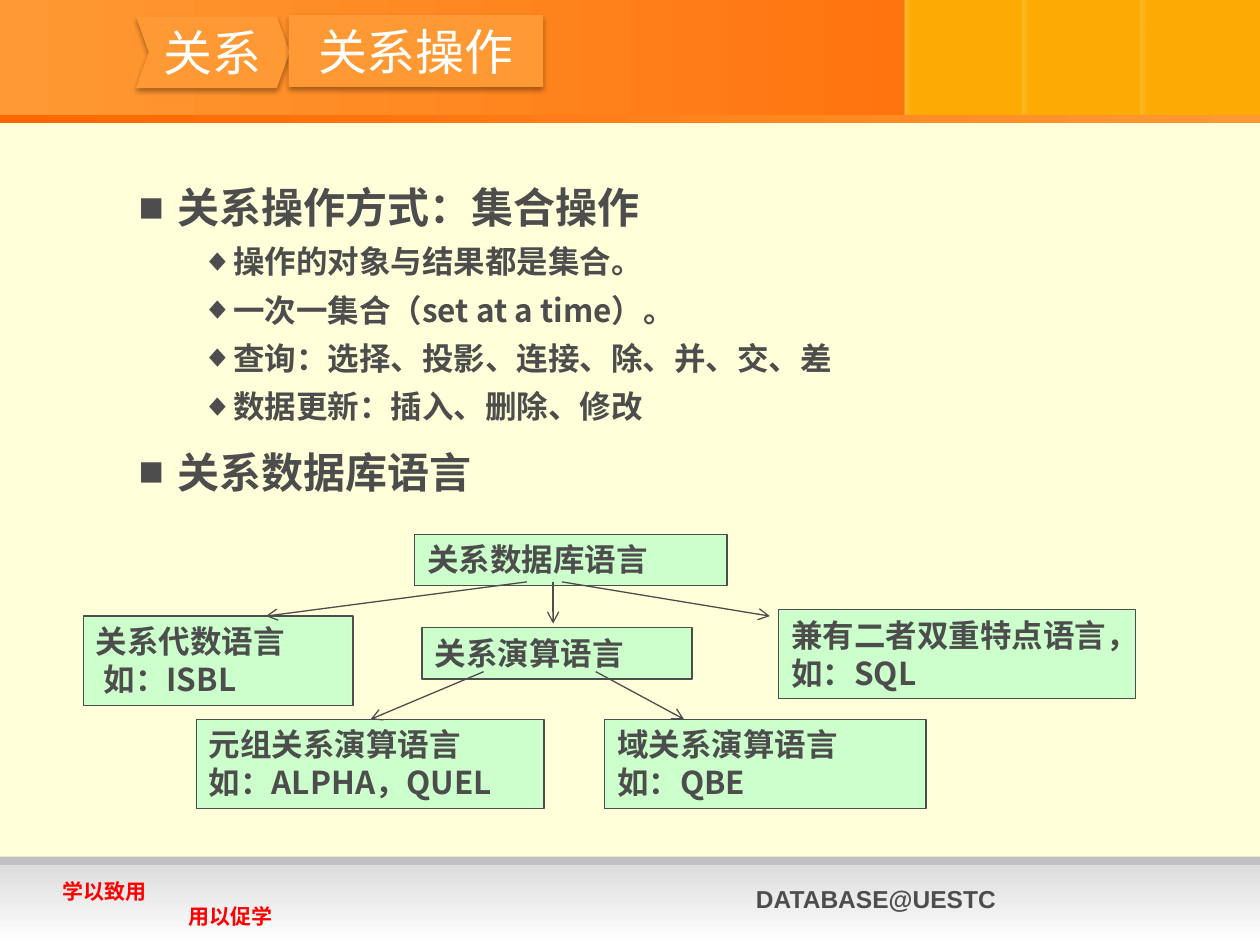
from lxml import etree
from pptx import Presentation
from pptx.dml.color import RGBColor
from pptx.enum.shapes import MSO_CONNECTOR, MSO_SHAPE
from pptx.enum.text import MSO_ANCHOR, MSO_AUTO_SIZE, PP_ALIGN
from pptx.oxml.ns import qn
from pptx.util import Cm, Pt

RECTANGLE = MSO_SHAPE.RECTANGLE
CHEVRON = MSO_SHAPE.CHEVRON
STRAIGHT = MSO_CONNECTOR.STRAIGHT
TOP, MIDDLE = MSO_ANCHOR.TOP, MSO_ANCHOR.MIDDLE
LEFT, CENTER = PP_ALIGN.LEFT, PP_ALIGN.CENTER
NO_AUTOFIT = MSO_AUTO_SIZE.NONE

CJK_FONT, LATIN_FONT = "Noto Sans CJK SC", "Arial"
CREAM, ORANGE, DEEP_ORANGE, AMBER = "FFFFD9", "FF9933", "FF6600", "FDAA03"
GRAY, GREEN, WHITE, RED = "4D4D4D", "CCFFCC", "FFFFFF", "FF0000"


def color(value):
    return RGBColor.from_string(value)


def add_xml(parent, tag, **attributes):
    return etree.SubElement(parent, qn(tag), {key: str(value) for key, value in attributes.items()})


class SlideBuilder:
    def __init__(self, presentation):
        self.slide = presentation.slides.add_slide(presentation.slide_layouts[1])
        self.shapes = self.slide.shapes
        background = self.slide.background.fill
        background.solid()
        background.fore_color.rgb = color(CREAM)

    def format_font(self, paragraph, size, text_color=GRAY, bold=True, name=CJK_FONT):
        font = paragraph.font
        font.size, font.bold, font.name = Pt(size), bold, name
        font.color.rgb = color(text_color)
        add_xml(font._rPr, "a:ea", typeface=name)

    def fill_text(self, shape, lines, size, anchor=TOP, alignment=LEFT, **style):
        frame = shape.text_frame
        frame.word_wrap, frame.auto_size = True, NO_AUTOFIT
        frame.vertical_anchor = anchor
        for index, (text, indent) in enumerate(lines):
            paragraph = frame.add_paragraph() if index else frame.paragraphs[0]
            paragraph.text = text
            paragraph.alignment = alignment
            if indent:
                paragraph._p.get_or_add_pPr().set("marL", str(Cm(indent)))
            self.format_font(paragraph, size, **style)

    def rectangle(self, box, fill):
        shape = self.shapes.add_shape(RECTANGLE, *map(Cm, box))
        shape.shadow.inherit = False
        shape.line.fill.background()
        shape.fill.solid()
        shape.fill.fore_color.rgb = color(fill)
        return shape

    def gradient(self, box, colors, angle=0, opacities=()):
        shape = self.rectangle(box, colors[0])
        shape.fill.gradient()
        shape.fill.gradient_angle = angle
        for stop, value, position in zip(shape.fill.gradient_stops, colors, (0, 1)):
            stop.color.rgb = color(value)
            stop.position = position
        for element, opacity in zip(shape._element.spPr.iter(qn("a:srgbClr")), opacities):
            add_xml(element, "a:alpha", val=opacity * 1000)

    def text_box(self, box, lines, size, **style):
        self.fill_text(self.shapes.add_textbox(*map(Cm, box)), lines, size, **style)

    def node(self, box, lines):
        shape = self.rectangle(box, GREEN)
        shape.line.color.rgb = color(GRAY)
        shape.line.width = Pt(0.75)
        self.fill_text(shape, lines, 18)

    def arrow(self, start, end):
        connector = self.shapes.add_connector(STRAIGHT, *map(Cm, start + end))
        connector.line.color.rgb = color(GRAY)
        connector.line.width = Pt(0.75)
        add_xml(connector.line._get_or_add_ln(), "a:tailEnd", type="arrow")
        add_xml(connector._element.spPr, "a:effectLst")

    def place(self, placeholder, box):
        placeholder.left, placeholder.top, placeholder.width, placeholder.height = map(Cm, box)
        self.shapes._spTree.append(placeholder._element)
        return placeholder

    def style_chevron(self, shape, text):
        shape.fill.solid()
        shape.fill.fore_color.rgb = color(ORANGE)
        shape.line.fill.background()
        effects = add_xml(shape._element.spPr, "a:effectLst")
        shadow = add_xml(effects, "a:outerShdw", blurRad=Pt(3.1), dist=Pt(1.8), dir=5400000, rotWithShape=0)
        add_xml(add_xml(shadow, "a:srgbClr", val="000000"), "a:alpha", val=35000)
        self.fill_text(shape, [(text, 0)], 28, MIDDLE, CENTER, text_color=WHITE, bold=False)

    def chevron(self, box, text):
        shape = self.shapes.add_shape(CHEVRON, *map(Cm, box))
        shape.adjustments[0] = 0.18
        self.style_chevron(shape, text)

    def title(self, box, text):
        shape = self.place(self.shapes.title, box)
        geometry = add_xml(shape._element.spPr, "a:prstGeom", prst="chevron")
        add_xml(add_xml(geometry, "a:avLst"), "a:gd", name="adj", fmla="val 18000")
        self.style_chevron(shape, text)

    def body(self, box, items):
        levels = {
            1: (2.06, -0.79, 12, "■", 24),
            2: (3.18, -0.64, 6, "◆", 18),
        }
        frame = self.place(self.slide.placeholders[1], box).text_frame
        frame.auto_size = NO_AUTOFIT
        for index, (level, text) in enumerate(items):
            margin, indent, space, bullet, size = levels[level]
            paragraph = frame.add_paragraph() if index else frame.paragraphs[0]
            paragraph.text = text
            paragraph.level = level
            paragraph.space_before = Pt(space if index else 0)
            properties = paragraph._p.get_or_add_pPr()
            properties.set("marL", str(Cm(margin)))
            properties.set("indent", str(Cm(indent)))
            add_xml(properties, "a:buFont", typeface=LATIN_FONT)
            add_xml(properties, "a:buChar", char=bullet)
            self.format_font(paragraph, size)


def main():
    presentation = Presentation()
    presentation.slide_width, presentation.slide_height = Cm(25.4), Cm(19.05)
    builder = SlideBuilder(presentation)

    builder.gradient((0, 0, 25.4, 2.48), (ORANGE, DEEP_ORANGE))
    for column in range(3):
        left = 18.24 + column * 2.38
        builder.rectangle((left, 0, 2.4, 2.48), AMBER)
        builder.gradient((left, 0, 0.13, 2.48), (CREAM, AMBER), opacities=(18, 15))
    builder.gradient((0, 2.31, 25.4, 0.18), (DEEP_ORANGE, ORANGE))
    builder.rectangle((0, 17.27, 25.4, 0.74), "C0C0C0")
    builder.gradient((0, 17.44, 25.4, 1.61), ("DDDDDD", WHITE), angle=270)
    builder.text_box((14.99, 17.7, 8.76, 0.86), [("DATABASE@UESTC", 0)], 14, name=LATIN_FONT)
    builder.text_box((1.02, 17.58, 5.08, 1.27), [("学以致用", 0), ("用以促学", 2.54)], 12,
                     text_color=RED, name=LATIN_FONT)

    builder.body((1.27, 3.53, 23.09, 13.87), [
        (1, "关系操作方式：集合操作"),
        (2, "操作的对象与结果都是集合。"),
        (2, "一次一集合（set at a time）。"),
        (2, "查询：选择、投影、连接、除、并、交、差"),
        (2, "数据更新：插入、删除、修改"),
        (1, "关系数据库语言"),
    ])
    builder.chevron((2.74, 0.33, 3.1, 1.45), "关系")
    builder.title((5.82, 0.3, 5.13, 1.45), "关系操作")

    for box, lines in (
        ((8.36, 10.77, 6.3, 1.04), [("关系数据库语言", 0)]),
        ((1.68, 12.42, 5.44, 1.8), [("关系代数语言", 0), ("如：ISBL", 0.16)]),
        ((8.51, 12.65, 5.44, 1.04), [("关系演算语言", 0)]),
        ((15.7, 12.29, 7.19, 1.8), [("兼有二者双重特点语言，如：SQL", 0)]),
        ((3.96, 14.5, 7.01, 1.8), [("元组关系演算语言", 0), ("如：ALPHA，QUEL", 0)]),
        ((12.19, 14.5, 6.48, 1.8), [("域关系演算语言", 0), ("如：QBE", 0)]),
    ):
        builder.node(box, lines)

    for start, end in (
        ((11.15, 11.73), (11.15, 12.57)),
        ((10.62, 11.73), (5.36, 12.42)),
        ((11.33, 11.73), (15.52, 12.42)),
        ((9.75, 13.54), (7.47, 14.5)),
        ((12.01, 13.54), (13.79, 14.5)),
    ):
        builder.arrow(start, end)

    presentation.save("out.pptx")


if __name__ == "__main__":
    main()
